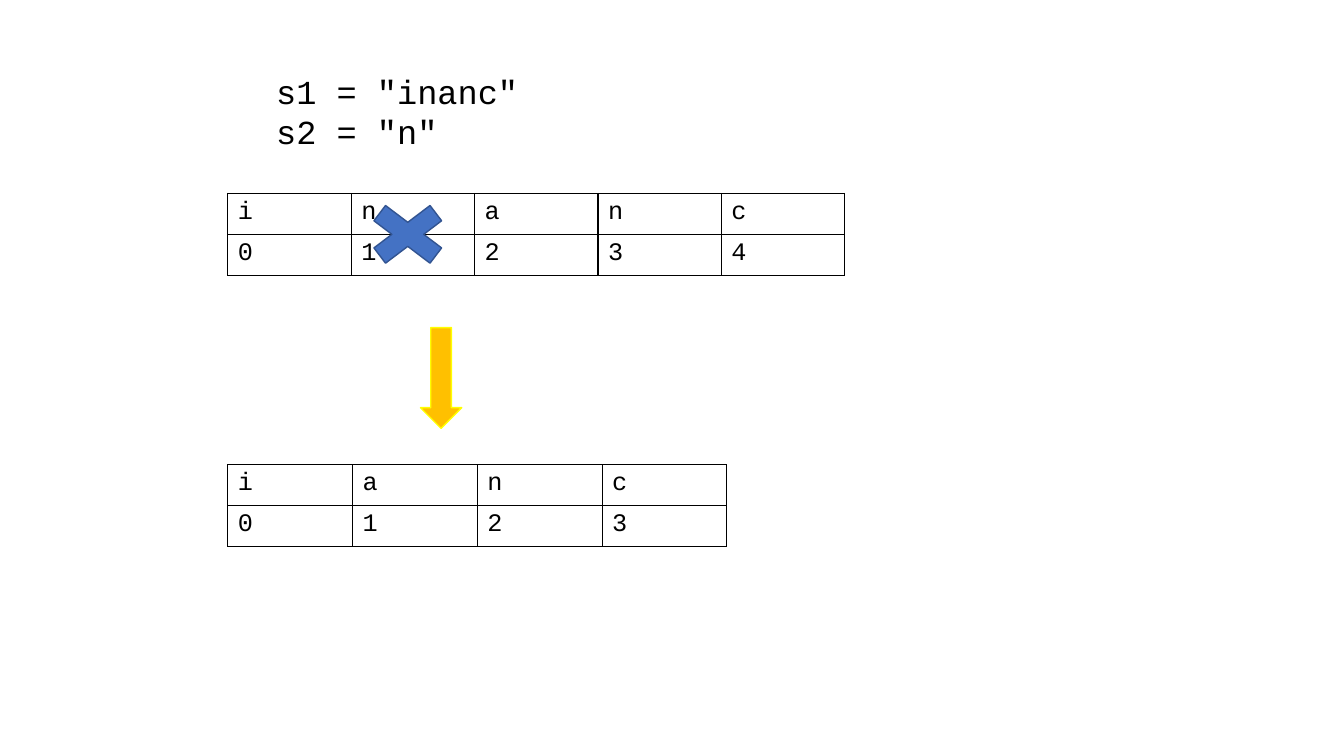
from lxml import etree
from pptx import Presentation
from pptx import util as u
from pptx.dml.color import RGBColor
from pptx.enum import shapes, text
from pptx.oxml import ns

PX = 9144
COLORS = {
    "ink": "000000",
    "cross": "4472C4",
    "cross_edge": "325491",
    "arrow": "FFC000",
    "arrow_edge": "FFFF00",
}


class StringPage:
    font = "Courier New"

    def __init__(self, deck):
        self.page = deck.slides.add_slide(deck.slide_layouts[6])

    def place(self, *lengths):
        return [u.Emu(length * PX) for length in lengths]

    def color(self, name):
        return RGBColor.from_string(COLORS[name])

    def set_lines(self, frame, lines, size):
        frame.text = "\n".join(lines)
        values = {"name": self.font, "size": u.Pt(size)}
        for para in frame.paragraphs:
            for span in para.runs:
                for key, value in values.items():
                    setattr(span.font, key, value)
                span.font.color.rgb = self.color("ink")

    def code(self, lines, *area):
        frame = self.page.shapes.add_textbox(*self.place(*area)).text_frame
        values = {"word_wrap": True, "auto_size": text.MSO_AUTO_SIZE.SHAPE_TO_FIT_TEXT}
        for key, value in values.items():
            setattr(frame, key, value)
        self.set_lines(frame, lines, 24)

    def border(self, cell):
        properties = cell._tc.get_or_add_tcPr()
        for side in ("lnL", "lnR", "lnT", "lnB"):
            line = etree.SubElement(properties, ns.qn(f"a:{side}"), w=str(u.Pt(1)))
            fill = etree.SubElement(line, ns.qn("a:solidFill"))
            etree.SubElement(fill, ns.qn("a:srgbClr"), val=COLORS["ink"])

    def indexed_string(self, word, *area):
        table = self.page.shapes.add_table(2, len(word), *self.place(*area)).table
        for key, value in {"first_row": False, "horz_banding": False}.items():
            setattr(table, key, value)
        for index, letter in enumerate(word):
            for row, entry in enumerate((letter, str(index))):
                cell = table.cell(row, index)
                self.set_lines(cell.text_frame, [entry], 18)
                self.border(cell)
                cell.fill.background()

    def shape(self, kind, fill, edge, *area):
        shape = self.page.shapes.add_shape(kind, *self.place(*area))
        shape.shadow.inherit = False
        shape.fill.solid()
        shape.fill.fore_color.rgb = self.color(fill)
        shape.line.color.rgb = self.color(edge)
        shape.line.width = u.Pt(1)


def main():
    deck = Presentation()
    deck.slide_width, deck.slide_height = u.Emu(1333 * PX), u.Emu(750 * PX)
    page = StringPage(deck)
    kinds = shapes.MSO_SHAPE
    page.indexed_string("inanc", 226, 192, 612, 81)
    page.code(['s1 = "inanc"', 's2 = "n"'], 264, 65, 386, 91)
    page.shape(kinds.MATH_MULTIPLY, "cross", "cross_edge", 351, 192, 107, 81)
    page.indexed_string("ianc", 226, 461, 495, 81)
    page.shape(kinds.DOWN_ARROW, "arrow", "arrow_edge", 417, 325, 41, 100)
    deck.save("out.pptx")


if __name__ == "__main__":
    main()
